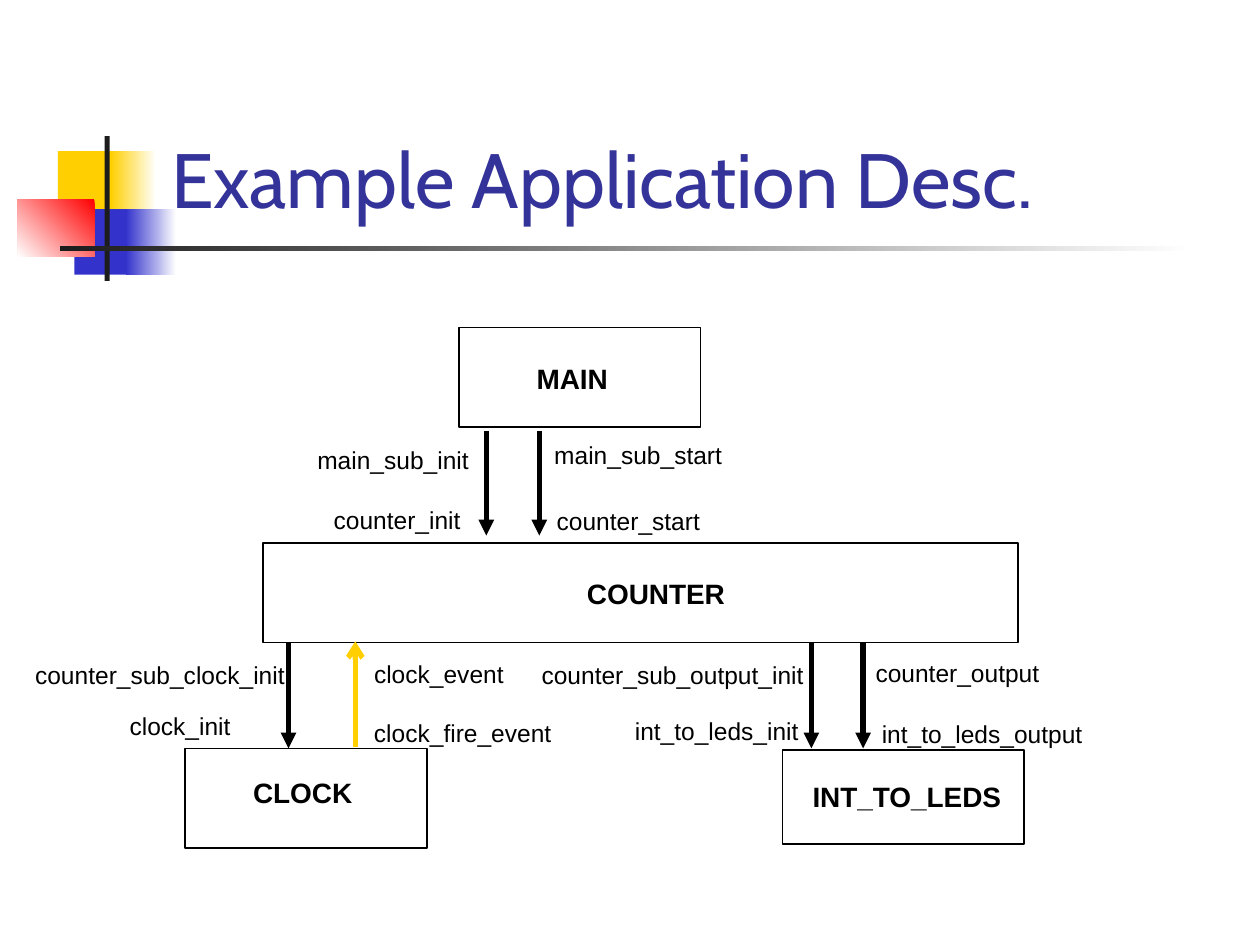
from collections import namedtuple
from dataclasses import dataclass

from lxml.etree import SubElement
from pptx import Presentation
from pptx.dml.color import RGBColor
from pptx.enum.shapes import MSO_CONNECTOR, MSO_SHAPE
from pptx.enum.text import MSO_ANCHOR, MSO_AUTO_SIZE
from pptx.oxml.ns import qn
from pptx.util import Inches, Pt

Box = namedtuple("Box", "left top width height")


@dataclass(frozen=True)
class Theme:
    """Colours, fonts and sizes of the slide."""
    black: str = "000000"
    white: str = "FFFFFF"
    yellow: str = "FFCF01"
    blue: str = "3333CC"
    red: str = "FF0000"
    charcoal: str = "1C1C1C"
    title: str = "333399"
    title_font: str = "Cabin"
    body_font: str = "Arial"
    title_size: int = 44
    node_size: int = 16
    label_size: int = 14
    outline: int = 1
    arrow: int = 3


THEME = Theme()


def add_text(page, text, box, size=THEME.label_size, color=THEME.black,
             font=THEME.body_font, bold=False, wrap=False, anchor=MSO_ANCHOR.TOP):
    """Add one line of formatted text in a box."""
    frame = page.shapes.add_textbox(*map(Inches, box)).text_frame
    frame.word_wrap = wrap
    frame.auto_size = MSO_AUTO_SIZE.NONE if wrap else MSO_AUTO_SIZE.SHAPE_TO_FIT_TEXT
    frame.vertical_anchor = anchor
    span = frame.paragraphs[0].add_run()
    span.text = text
    span.font.size = Pt(size)
    span.font.name = font
    span.font.bold = bold
    span.font.color.rgb = RGBColor.from_string(color)


def add_rectangle(page, box, colors=(), angle=180, outline=None):
    """Add a rectangle with no fill, a solid fill or a two-colour gradient."""
    shape = page.shapes.add_shape(MSO_SHAPE.RECTANGLE, *map(Inches, box))
    shape.shadow.inherit = False
    if len(colors) == 2:
        shape.fill.gradient()
        shape.fill.gradient_angle = angle
        for stop, color in zip(shape.fill.gradient_stops, colors):
            stop.color.rgb = RGBColor.from_string(color)
    elif colors:
        shape.fill.solid()
        shape.fill.fore_color.rgb = RGBColor.from_string(colors[0])
    else:
        shape.fill.background()
    if outline:
        shape.line.color.rgb = RGBColor.from_string(outline)
        shape.line.width = Pt(THEME.outline)
    else:
        shape.line.fill.background()


def add_ornament(page, box):
    """Place the coloured squares and the crossing bars in a box."""
    parts = [
        (0.32, 0.12, 0.48, 0.52, (THEME.yellow,), 180),
        (0.74, 0.12, 0.36, 0.52, (THEME.white, THEME.yellow), 180),
        (0.45, 0.58, 0.46, 0.52, (THEME.blue,), 180),
        (0.86, 0.58, 0.40, 0.52, (THEME.white, THEME.blue), 180),
        (0, 0.50, 0.61, 0.46, (THEME.red, THEME.white), 225),
        (0.69, 0, 0.04, box.height, (THEME.charcoal,), 180),
        (0.34, 0.87, box.width - 0.34, 0.04, (THEME.white, THEME.charcoal), 180),
    ]
    for left, top, width, height, colors, angle in parts:
        place = Box(box.left + left, box.top + top, width, height)
        add_rectangle(page, place, colors, angle)


def add_title(page, box):
    """Place the slide title at the bottom of its box."""
    add_text(page, "Example Application Desc.", box, size=THEME.title_size,
             color=THEME.title, font=THEME.title_font, wrap=True,
             anchor=MSO_ANCHOR.BOTTOM)


def add_node(page, name, box, label):
    """Draw a component box with its name at an offset inside it."""
    place = Box(box.left + label.left, box.top + label.top, label.width, label.height)
    add_text(page, name, place, size=THEME.node_size, bold=True)
    add_rectangle(page, box, outline=THEME.black)


def add_arrow(page, x, top, bottom, color=THEME.black, end="tailEnd", head="triangle"):
    """Draw a vertical arrow with its head at the chosen end."""
    line = page.shapes.add_connector(
        MSO_CONNECTOR.STRAIGHT, Inches(x), Inches(top), Inches(x), Inches(bottom))
    line.line.color.rgb = RGBColor.from_string(color)
    line.line.width = Pt(THEME.arrow)
    SubElement(line.line._get_or_add_ln(), qn(f"a:{end}"), type=head)
    SubElement(line._element.spPr, qn("a:effectLst"))


def add_diagram(page, box):
    """Place the component boxes, arrows and call names in a box."""
    nodes = [
        ("MAIN", Box(2.17, 0, 1.92, 0.79), Box(0.52, 0.22, 0.79, 0.37)),
        ("COUNTER", Box(0.62, 1.71, 5.99, 0.79), Box(2.47, 0.22, 1.32, 0.37)),
        ("CLOCK", Box(0, 3.34, 1.92, 0.79), Box(0.44, 0.17, 1.01, 0.37)),
        ("INT_TO_LEDS", Box(4.74, 3.35, 1.92, 0.75), Box(0.14, 0.19, 1.72, 0.37)),
    ]
    for name, place, label in nodes:
        shifted = place._replace(left=box.left + place.left, top=box.top + place.top)
        add_node(page, name, shifted, label)

    for x in (2.39, 2.81):
        add_arrow(page, box.left + x, box.top + 0.82, box.top + 1.65)
    for x in (0.82, 4.97, 5.38):
        add_arrow(page, box.left + x, box.top + 2.5, box.top + 3.34)
    add_arrow(page, box.left + 1.35, box.top + 2.49, box.top + 3.33,
              color=THEME.yellow, end="headEnd", head="arrow")

    calls = [
        ("main_sub_init", 0.95, 0.88, 1.42),
        ("counter_init", 1.08, 1.36, 1.23),
        ("main_sub_start", 2.83, 0.84, 1.55),
        ("counter_start", 2.85, 1.37, 1.36),
        ("counter_sub_clock_init", -1.29, 2.59, 2.21),
        ("clock_init", -0.54, 2.99, 1.02),
        ("clock_event", 1.4, 2.58, 1.25),
        ("clock_fire_event", 1.4, 3.05, 1.63),
        ("counter_sub_output_init", 2.73, 2.59, 2.3),
        ("int_to_leds_init", 3.47, 3.03, 1.52),
        ("counter_output", 5.38, 2.57, 1.52),
        ("int_to_leds_output", 5.43, 3.06, 1.82),
    ]
    for name, left, top, width in calls:
        add_text(page, name, Box(box.left + left, box.top + top, width, 0.34))


def main():
    """Build the slide and save the deck."""
    deck = Presentation()
    deck.slide_width, deck.slide_height = Inches(10), Inches(7.5)
    page = deck.slides.add_slide(deck.slide_layouts[6])
    add_ornament(page, Box(0.14, 1.08, 9.34, 1.15))
    add_title(page, Box(1.26, 0.23, 8.52, 1.6))
    add_diagram(page, Box(1.47, 2.6, 6.66, 4.13))
    deck.save("out.pptx")


if __name__ == "__main__":
    main()
